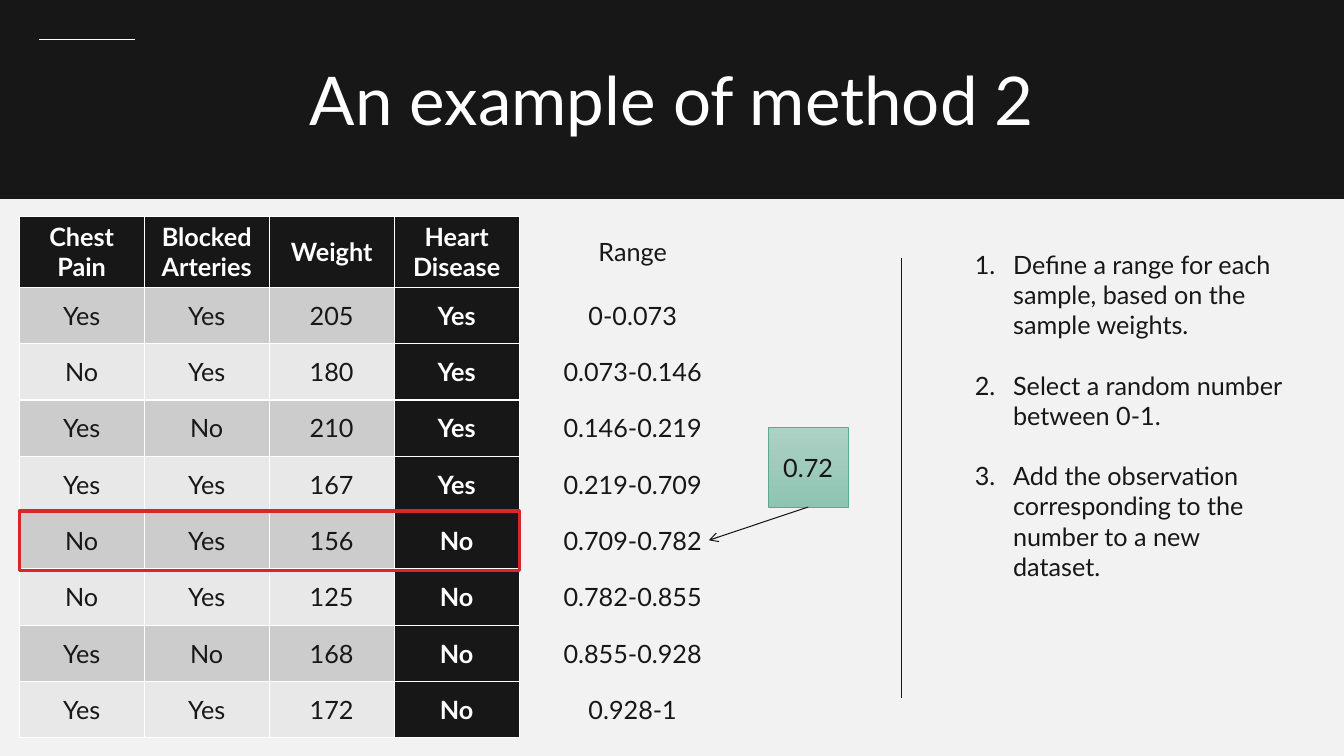
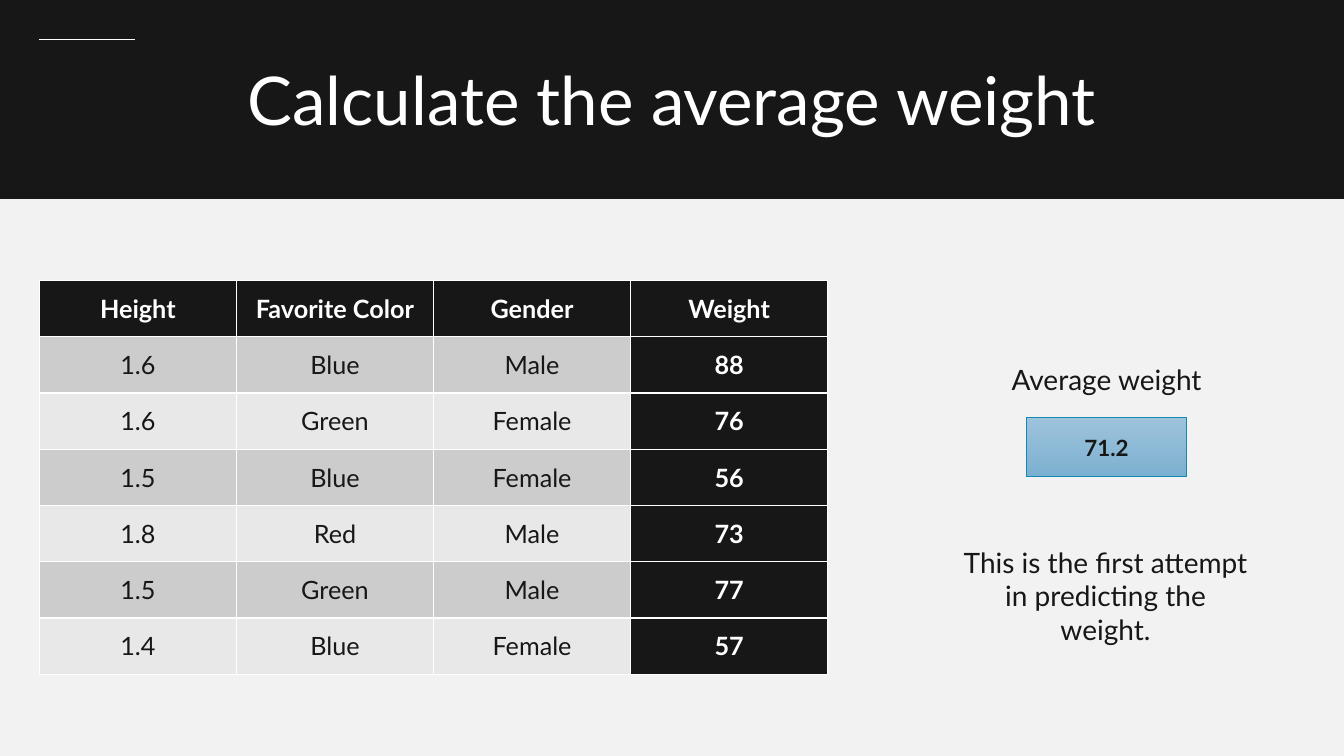
from lxml import etree
from pptx import Presentation
from pptx.dml.color import RGBColor
from pptx.enum import shapes, text
from pptx.oxml import ns
from pptx.util import Inches, Pt

FONT = "Lato"
COLORS = {
    "page": "F2F2F2", "ink": "181717", "white": "FFFFFF", "red": "D62828",
    "odd": "CCCCCC", "even": "E8E8E8",
    "green_light": "ADD1C5", "green_dark": "8FC4B2", "green_line": "56AB91",
    "blue_light": "9EC3DC", "blue_dark": "7CB0D0", "blue_line": "118AB2",
}
RGB = {name: RGBColor.from_string(value) for name, value in COLORS.items()}
NO_STYLE = "{2D5ABB26-0587-4C30-8999-92F81FD0307C}"


def write(tf, lines, size, color="ink", bold=False, align=text.PP_ALIGN.CENTER):
    """Fill a text frame, one paragraph per line, and return the paragraphs."""
    tf.word_wrap = True
    tf.text = "\n".join(lines)
    for p in tf.paragraphs:
        p.alignment = align
        p.font.name, p.font.size, p.font.bold = FONT, Pt(size), bold
        p.font.color.rgb = RGB[color]
    return tf.paragraphs


def add_line(s, x1, y1, x2, y2, color, width):
    line = s.shapes.add_connector(shapes.MSO_CONNECTOR.STRAIGHT,
                                  Inches(x1), Inches(y1), Inches(x2), Inches(y2))
    line.line.color.rgb, line.line.width = RGB[color], Pt(width)
    etree.SubElement(line.line._get_or_add_ln().getparent(), ns.qn("a:effectLst"))
    return line


prs = Presentation()
prs.slide_width, prs.slide_height = Inches(13.33), Inches(7.5)

# Background, band, short rule and title
slides = []
for title in ("An example of method 2", "Calculate the average weight"):
    s = prs.slides.add_slide(prs.slide_layouts[6])
    s.background.fill.solid()
    s.background.fill.fore_color.rgb = RGB["page"]
    band = s.shapes.add_shape(shapes.MSO_SHAPE.RECTANGLE, 0, 0, prs.slide_width, Inches(1.97))
    band.shadow.inherit = False
    band.fill.solid()
    band.fill.fore_color.rgb = band.line.color.rgb = RGB["ink"]
    band.line.width = Pt(1)
    add_line(s, 0.39, 0.39, 1.34, 0.39, "white", 0.5)
    box = s.shapes.add_textbox(Inches(1.2), Inches(0.53), Inches(10.93), Inches(0.91))
    write(box.text_frame, [title], 48, "white")
    slides.append(s)
method, average = slides

# Tables
patients = [
    ("Chest Pain", "Blocked Arteries", "Weight", "Heart Disease"),
    ("Yes", "Yes", "205", "Yes"),
    ("No", "Yes", "180", "Yes"),
    ("Yes", "No", "210", "Yes"),
    ("Yes", "Yes", "167", "Yes"),
    ("No", "Yes", "156", "No"),
    ("No", "Yes", "125", "No"),
    ("Yes", "No", "168", "No"),
    ("Yes", "Yes", "172", "No"),
]
ranges = [(label,) for label in (
    "Range", "0-0.073", "0.073-0.146", "0.146-0.219", "0.219-0.709",
    "0.709-0.782", "0.782-0.855", "0.855-0.928", "0.928-1")]
people = [
    ("Height", "Favorite Color", "Gender", "Weight"),
    ("1.6", "Blue", "Male", "88"),
    ("1.6", "Green", "Female", "76"),
    ("1.5", "Blue", "Female", "56"),
    ("1.8", "Red", "Male", "73"),
    ("1.5", "Green", "Male", "77"),
    ("1.4", "Blue", "Female", "57"),
]
for s, rows, x, y, width, height, header, plain in (
        (method, patients, 0.19, 2.15, 4.96, 5.17, 0.7, False),
        (method, ranges, 5.46, 2.15, 1.63, 5.17, 0.7, True),
        (average, people, 0.39, 2.78, 7.82, 3.91, 0.56, False)):
    table = s.shapes.add_table(len(rows), len(rows[0]), Inches(x), Inches(y),
                               Inches(width), Inches(height)).table
    if plain:
        table.first_row = table.horz_banding = False
        table._tbl.tblPr.find(ns.qn("a:tableStyleId")).text = NO_STYLE
    for column in table.columns:
        column.width = Inches(width / len(rows[0]))
    for i, row in enumerate(rows):
        table.rows[i].height = Inches((height - header) / (len(rows) - 1) if i else header)
        for j, value in enumerate(row):
            cell = table.cell(i, j)
            cell.vertical_anchor = text.MSO_ANCHOR.MIDDLE
            strong = not plain and (i == 0 or j == len(row) - 1)
            write(cell.text_frame, [value], 18, "white" if strong else "ink", strong)
            if plain:
                cell.fill.background()
            else:
                cell.fill.solid()
                cell.fill.fore_color.rgb = RGB["ink" if strong else "odd" if i % 2 else "even"]

# Shaded value boxes
value_boxes = []
for s, value, x, y, width, height, hue, size, bold in (
        (method, "0.72", 7.62, 4.24, 0.79, 0.79, "green", 18, False),
        (average, "71.2", 10.18, 4.14, 1.59, 0.59, "blue", 16, True)):
    sp = s.shapes.add_shape(shapes.MSO_SHAPE.RECTANGLE, Inches(x), Inches(y),
                            Inches(width), Inches(height))
    sp.shadow.inherit = False
    sp.fill.gradient()
    sp.fill.gradient_angle = 270
    for stop, shade in zip(sp.fill.gradient_stops, ("light", "dark")):
        stop.color.rgb = RGB[f"{hue}_{shade}"]
    sp.line.color.rgb, sp.line.width = RGB[f"{hue}_line"], Pt(0.5)
    sp.text_frame.vertical_anchor = text.MSO_ANCHOR.MIDDLE
    write(sp.text_frame, [value], size, bold=bold)
    value_boxes.append(sp)

# Method 2: drawn number, chosen row and numbered steps
arrow = add_line(method, 8.02, 5.03, 7.03, 5.36, "ink", 0.75)
arrow.begin_connect(value_boxes[0], 2)
etree.SubElement(arrow.line._get_or_add_ln(), ns.qn("a:tailEnd"), type="arrow")

chosen_row = method.shapes.add_shape(shapes.MSO_SHAPE.RECTANGLE, Inches(0.19), Inches(5.07),
                                     Inches(4.96), Inches(0.59))
chosen_row.shadow.inherit = False
chosen_row.fill.background()
chosen_row.line.color.rgb, chosen_row.line.width = RGB["red"], Pt(2.25)

add_line(method, 8.94, 6.92, 8.94, 2.56, "ink", 0.5)
steps = method.shapes.add_textbox(Inches(9.57), Inches(2.42), Inches(3.31), Inches(3.13))
for i, p in enumerate(write(steps.text_frame, [
        "Define a range for each sample, based on the sample weights.",
        "Select a random number between 0-1.",
        "Add the observation corresponding to the number to a new dataset."],
        18, align=text.PP_ALIGN.LEFT)):
    if i:
        p.space_before = Pt(21.6)
    pPr = p._p.get_or_add_pPr()
    pPr.set("marL", str(Inches(0.38)))
    pPr.set("indent", str(-Inches(0.38)))
    number = pPr.makeelement(ns.qn("a:buAutoNum"), {"type": "arabicPeriod"})
    pPr.find(ns.qn("a:defRPr")).addprevious(number)

# Average weight: captions above and below the value
for caption, x, y, width, height in (
        ("Average weight", 9.91, 3.55, 2.13, 0.44),
        ("This is the first attempt in predicting the weight.", 9.42, 5.36, 3.09, 0.77)):
    box = average.shapes.add_textbox(Inches(x), Inches(y), Inches(width), Inches(height))
    write(box.text_frame, [caption], 20)

prs.save("out.pptx")
